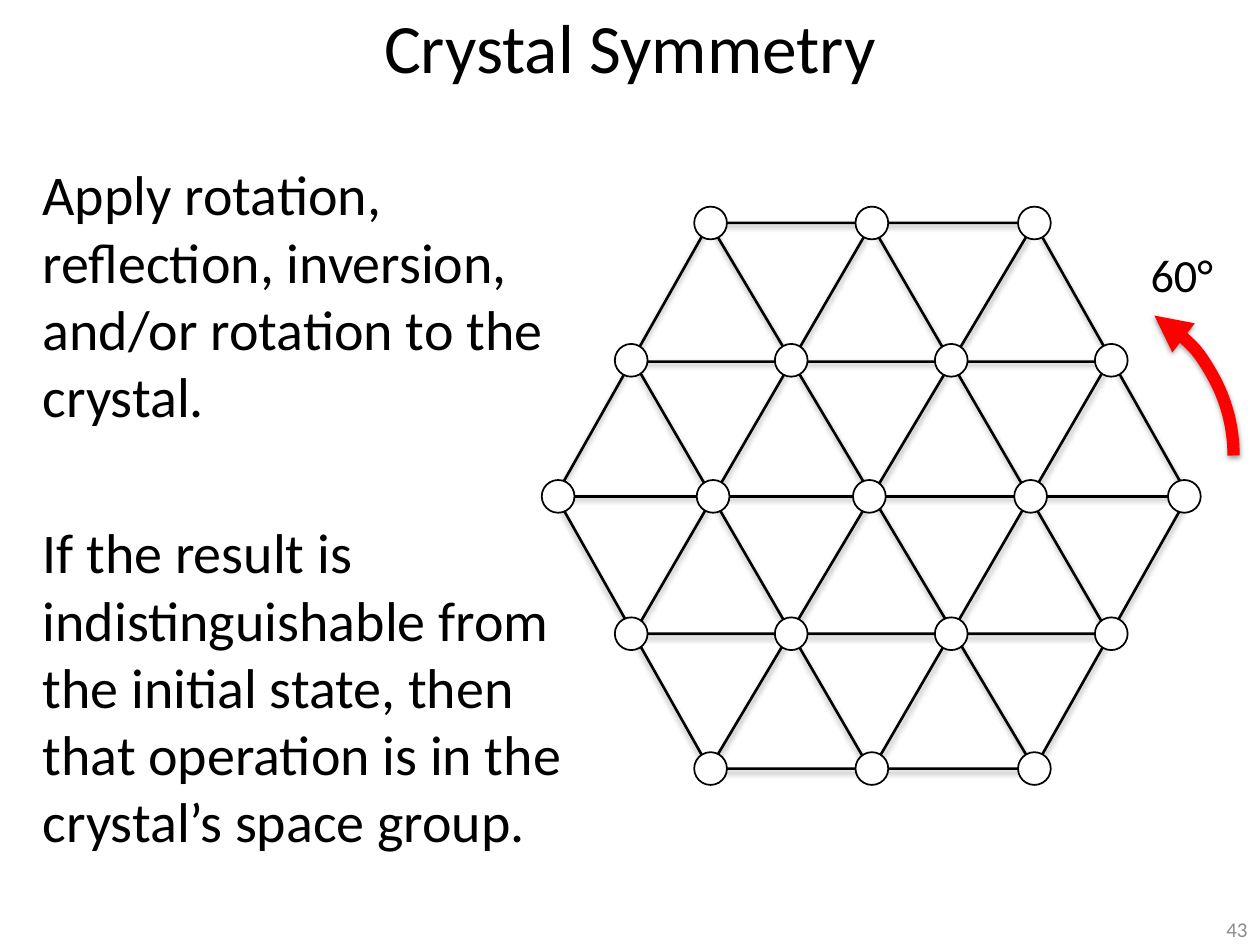
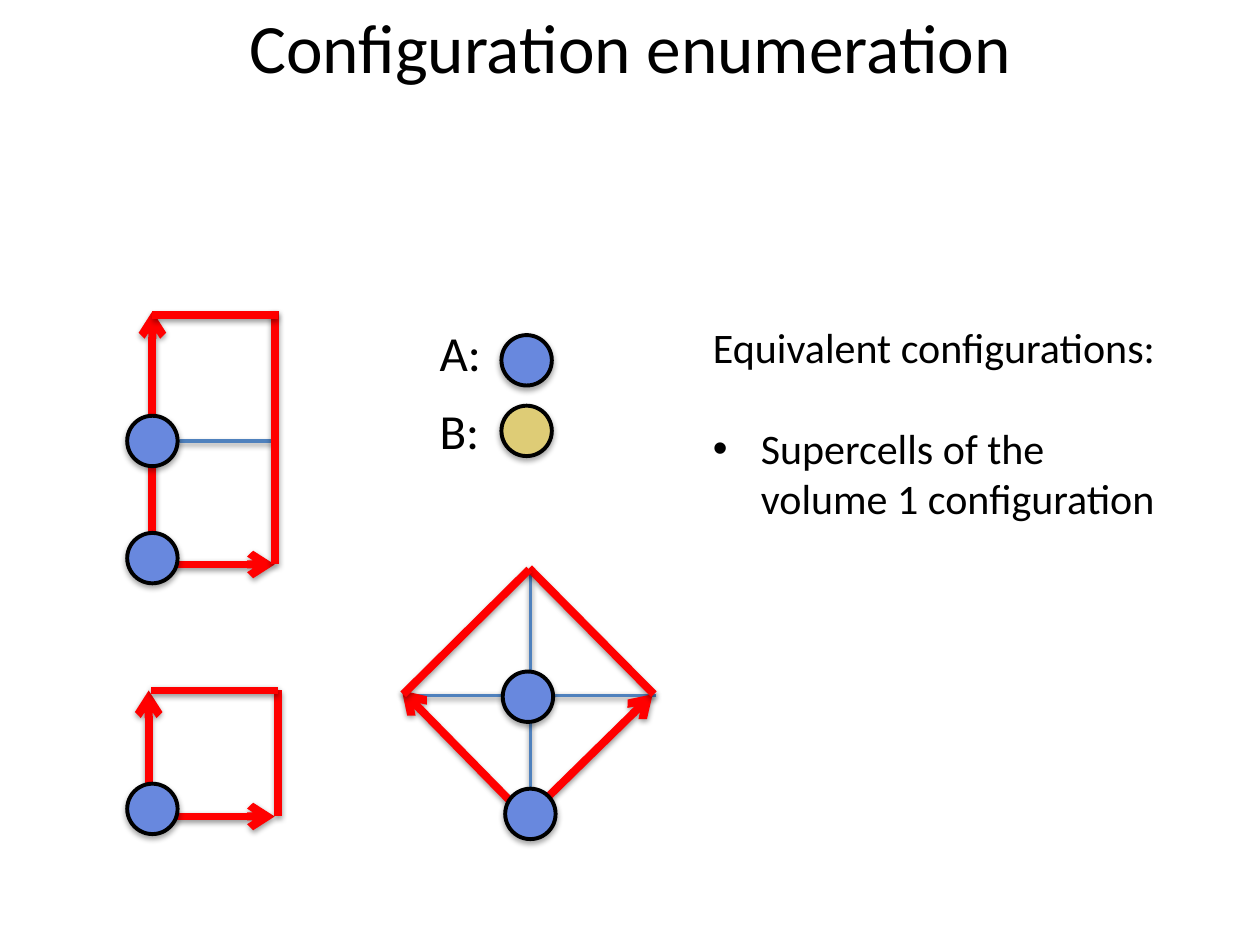
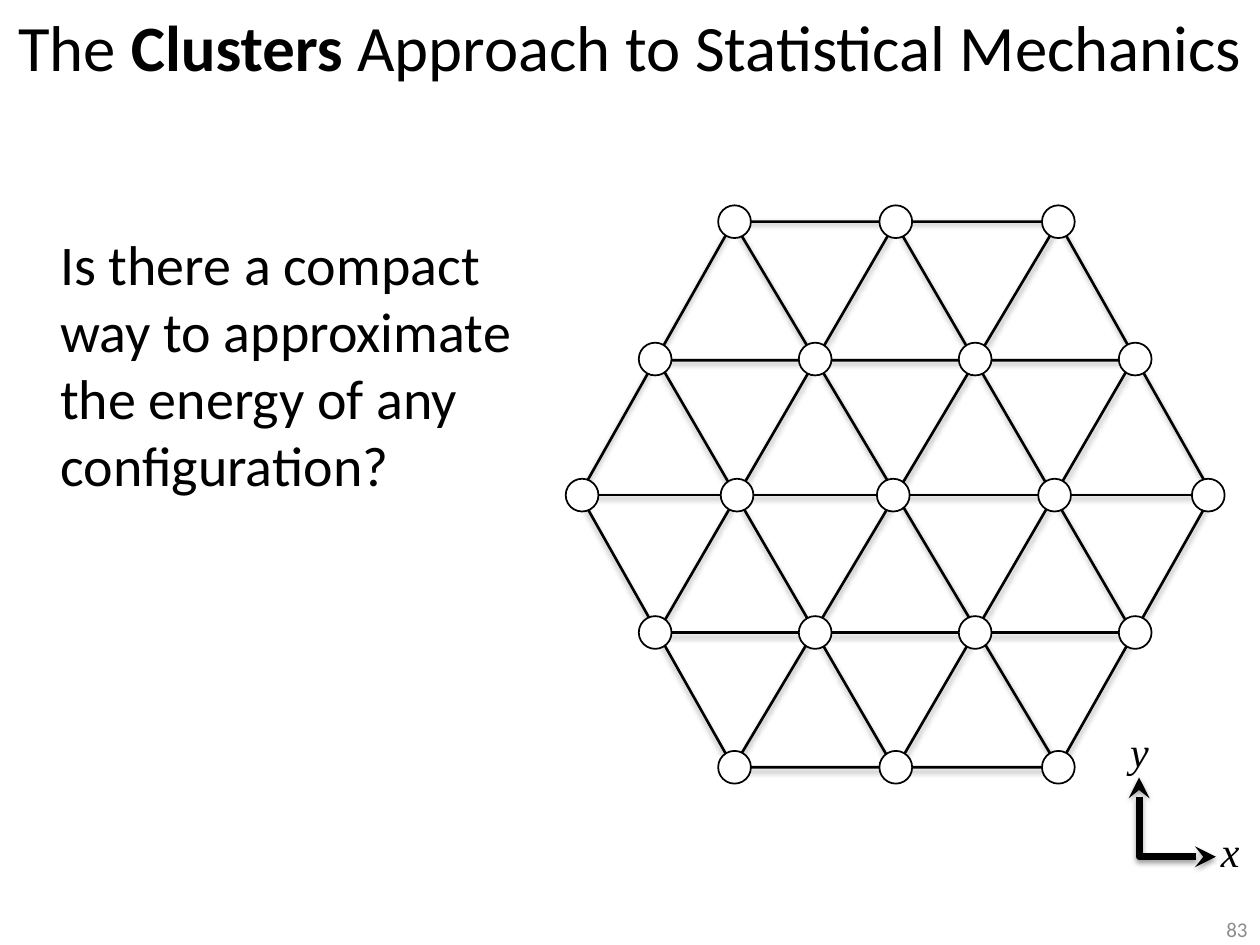
from lxml.etree import SubElement
from pptx import Presentation
from pptx.dml.color import RGBColor
from pptx.enum.shapes import MSO_CONNECTOR as Connector, MSO_SHAPE as Preset
from pptx.enum.text import MSO_ANCHOR as Anchor, PP_ALIGN as Align
from pptx.oxml.ns import qn
from pptx.util import Inches, Pt

BLACK = RGBColor(0x00, 0x00, 0x00)
WHITE = RGBColor(0xFF, 0xFF, 0xFF)
GREY = RGBColor(0x8C, 0x8C, 0x8C)
RED = RGBColor(0xFF, 0x00, 0x00)
GRID_BLUE = RGBColor(0x4F, 0x81, 0xBD)
ATOM_A = RGBColor(0x68, 0x88, 0xDE)
ATOM_B = RGBColor(0xDE, 0xCC, 0x76)

# Shadow opacity (percent) and distance (EMU)
LINE_SHADOW = (38, 20000)
SHAPE_SHADOW = (35, 23000)

# Lattice parts, measured from the top left corner of the hexagon
HEXAGON_SIZE = (5.02, 4.33)
DIAGONALS = [((1.22, 0), (3.8, 4.33)), ((3.8, 0), (1.22, 4.33)),
             ((0, 2.17), (5.02, 2.17))]
TRIANGLES = [((0.62, 0.01, 3.77, 3.25), False), ((0.62, 1.1, 3.77, 3.25), True)]
SHORT_ROW = (1.23, 2.51, 3.8)
LONG_ROW = (0.6, 1.87, 3.14, 4.41)
MIDDLE_ROW = (0.02, 1.25, 2.49, 3.77, 4.99)
NODE_ROWS = [(0, SHORT_ROW), (1.09, LONG_ROW), (2.17, MIDDLE_ROW),
             (3.26, LONG_ROW), (4.33, SHORT_ROW)]
NODE_SIZE = 0.26

SYMMETRY_TEXT = [
    "Apply rotation, reflection, inversion, and/or rotation to the crystal.",
    "If the result is indistinguishable from the initial state, then that "
    "operation is in the crystal’s space group.",
]
COMPACT_TEXT = ["Is there a compact way to approximate the energy of any configuration?"]
CLUSTERS_TITLE = [("The ", {}), ("Clusters", {"bold": True}),
                  (" Approach to Statistical Mechanics", {})]
EQUIVALENT_TEXT = ["Equivalent configurations:", "Supercells of the volume 1 configuration"]

GRID_LINES = [((2.18, 3.5), (1.21, 3.5)), ((4.21, 4.53), (4.21, 6.52)),
              ((3.22, 5.52), (5.21, 5.52))]
CELL_VECTORS = [
    ((1.18, 6.48), (1.18, 5.48)), ((1.18, 6.48), (2.18, 6.48)),
    ((1.21, 4.48), (1.21, 2.47)), ((1.18, 4.48), (2.18, 4.48)),
    ((4.17, 6.48), (3.19, 5.48)), ((4.17, 6.5), (5.18, 5.51)),
]
CELL_EDGES = [
    ((2.21, 5.48), (2.21, 6.48)), ((1.2, 5.48), (2.21, 5.48)),
    ((2.18, 2.47), (2.18, 4.48)), ((1.21, 2.5), (2.21, 2.5)),
    ((4.2, 4.51), (5.19, 5.51)), ((3.2, 5.51), (4.2, 4.52)),
]
LEGEND = [("A:", 2.51, 2.66, ATOM_A), ("B:", 3.13, 3.22, ATOM_B)]
ATOM_CORNERS = [(1.01, 6.22), (1.01, 4.23), (1.01, 3.3), (4.01, 6.26), (3.99, 5.33)]
ATOM_SIZE = 0.4

AXIS_POINTS = [(9.04, 6.17), (9.04, 6.8), (9.65, 6.8)]
AXIS_LABELS = [("x", 9.59, 6.5), ("y", 8.87, 5.71)]


def inches(values):
    return [Inches(value) for value in values]


def outline(shape, colour, width, shadow=None, **ends):
    """Set line, shadow and arrowheads (headEnd or tailEnd) of a shape or connector."""
    shape.line.color.rgb = colour
    shape.line.width = Pt(width)
    properties = shape._element.spPr
    for end, kind in ends.items():
        SubElement(properties.find(qn("a:ln")), qn(f"a:{end}"), type=kind)
    effects = SubElement(properties, qn("a:effectLst"))
    if shadow:
        opacity, distance = shadow
        outer = SubElement(effects, qn("a:outerShdw"), blurRad="40000",
                           dist=str(distance), dir="5400000", rotWithShape="0")
        tint = SubElement(outer, qn("a:srgbClr"), val=str(BLACK))
        SubElement(tint, qn("a:alpha"), val=str(opacity * 1000))


def add_line(shapes, ends, colour, width, **arrows):
    start, finish = ends
    line = shapes.add_connector(Connector.STRAIGHT, *inches(start + finish))
    outline(line, colour, width, LINE_SHADOW, **arrows)


def add_preset(shapes, preset, at, fill=None, adjustments=()):
    shape = shapes.add_shape(preset, *inches(at))
    for index, value in enumerate(adjustments):
        shape.adjustments[index] = value
    if fill is None:
        shape.fill.background()
    else:
        shape.fill.solid()
        shape.fill.fore_color.rgb = fill
    return shape


def add_text(shapes, at, paras, size, align=Align.LEFT, anchor=Anchor.TOP, wrap=True,
             gap=0, indent=0, bullets=(), **font):
    """Add paragraphs, each a string or a list of (text, font values) spans."""
    box = shapes.add_textbox(*inches(at))
    frame = box.text_frame
    frame.word_wrap, frame.vertical_anchor = wrap, anchor
    for index, spans in enumerate(paras):
        para = frame.paragraphs[0] if index == 0 else frame.add_paragraph()
        para.alignment = align
        if index:
            para.space_before = Pt(gap)
        properties = para._p.get_or_add_pPr()
        if index in bullets:
            properties.set("marL", str(Inches(0.38)))
            properties.set("indent", str(-Inches(0.38)))
            SubElement(properties, qn("a:buFont"), typeface="Arial")
            SubElement(properties, qn("a:buChar"), char="•")
        elif indent:
            properties.set("marL", str(Inches(indent)))
        for text, changes in [(spans, {})] if isinstance(spans, str) else spans:
            span = para.add_run()
            span.text = text
            values = {"name": "Calibri", "size": Pt(size), **font, **changes}
            colour = values.pop("colour", BLACK)
            for name, value in values.items():
                setattr(span.font, name, value)
            span.font.color.rgb = colour


def add_page(deck, title, size=39.6, number=None):
    page = deck.slides.add_slide(deck.slide_layouts[6])
    add_text(page.shapes, (0, 0.02, 10, 0.69), [title], size, Align.CENTER, Anchor.MIDDLE)
    if number:
        add_text(page.shapes, (7.92, 7.25, 2.08, 0.25), [number], 12, Align.RIGHT,
                 Anchor.MIDDLE, colour=GREY)
    return page


def add_body(page, at, paras):
    add_text(page.shapes, at, paras, 32, gap=51, indent=0.38)


def add_lattice(page, left, top):
    shapes = page.shapes.add_group_shape().shapes
    for ends in DIAGONALS:
        add_line(shapes, [(left + x, top + y) for x, y in ends], BLACK, 1.5)
    hexagon = add_preset(shapes, Preset.HEXAGON, (left, top) + HEXAGON_SIZE,
                         adjustments=(0.282, 1.155))
    outline(hexagon, BLACK, 1.5, SHAPE_SHADOW)
    for (x, y, width, height), flipped in TRIANGLES:
        triangle = add_preset(shapes, Preset.ISOSCELES_TRIANGLE,
                              (left + x, top + y, width, height))
        if flipped:
            triangle._element.spPr.find(qn("a:xfrm")).set("flipV", "1")
        outline(triangle, BLACK, 1.5, SHAPE_SHADOW)
    for y, row in NODE_ROWS:
        for x in row:
            corner = (left + x - NODE_SIZE / 2, top + y - NODE_SIZE / 2)
            node = add_preset(shapes, Preset.OVAL, corner + (NODE_SIZE, NODE_SIZE), WHITE)
            outline(node, BLACK, 1)


def add_atom(page, corner, fill):
    atom = add_preset(page.shapes, Preset.OVAL, corner + (ATOM_SIZE, ATOM_SIZE), fill)
    outline(atom, BLACK, 2.25, SHAPE_SHADOW)


def build_symmetry(deck):
    page = add_page(deck, "Crystal Symmetry", number="43")
    add_body(page, (-0.14, 1.22, 4.92, 5.94), SYMMETRY_TEXT)
    add_lattice(page, 4.41, 1.77)
    turn = add_preset(page.shapes, Preset.ARC, (7.2, 2.32, 2.59, 2.59),
                      adjustments=(180.58, 0))
    outline(turn, RED, 7, LINE_SHADOW, headEnd="triangle")
    add_text(page.shapes, (9.01, 1.83, 0.74, 0.69), ["60°"], 26.4, Align.CENTER,
             Anchor.MIDDLE)


def build_enumeration(deck):
    page = add_page(deck, "Configuration enumeration")
    for ends in GRID_LINES:
        add_line(page.shapes, ends, GRID_BLUE, 2)
    for ends in CELL_VECTORS:
        add_line(page.shapes, ends, RED, 4.5, tailEnd="arrow")
    for ends in CELL_EDGES:
        add_line(page.shapes, ends, RED, 4.5)
    for label, label_top, atom_top, fill in LEGEND:
        add_text(page.shapes, (3.39, label_top, 0.53, 0.57), [label], 28, wrap=False)
        add_atom(page, (3.98, atom_top), fill)
    for corner in ATOM_CORNERS:
        add_atom(page, corner, ATOM_A)
    add_text(page.shapes, (5.56, 2.5, 3.82, 1.72), EQUIVALENT_TEXT, 24, gap=29,
             bullets=(1,))


def build_clusters(deck):
    page = add_page(deck, CLUSTERS_TITLE, size=37, number="83")
    add_lattice(page, 4.6, 1.76)
    add_body(page, (0, 1.77, 4.25, 4.1), COMPACT_TEXT)
    shapes = page.shapes.add_group_shape().shapes
    start, *others = [inches(point) for point in AXIS_POINTS]
    builder = shapes.build_freeform(*start)
    builder.add_line_segments(others, close=False)
    axes = builder.convert_to_shape()
    axes.fill.background()
    outline(axes, BLACK, 4, LINE_SHADOW, headEnd="stealth", tailEnd="stealth")
    for label, left, top in AXIS_LABELS:
        add_text(shapes, (left, top, 0.29, 0.5), [label], 24, name="Times New Roman",
                 italic=True)


def main():
    deck = Presentation()
    deck.slide_width, deck.slide_height = Inches(10), Inches(7.5)
    for build in (build_symmetry, build_enumeration, build_clusters):
        build(deck)
    deck.save("out.pptx")


if __name__ == "__main__":
    main()
